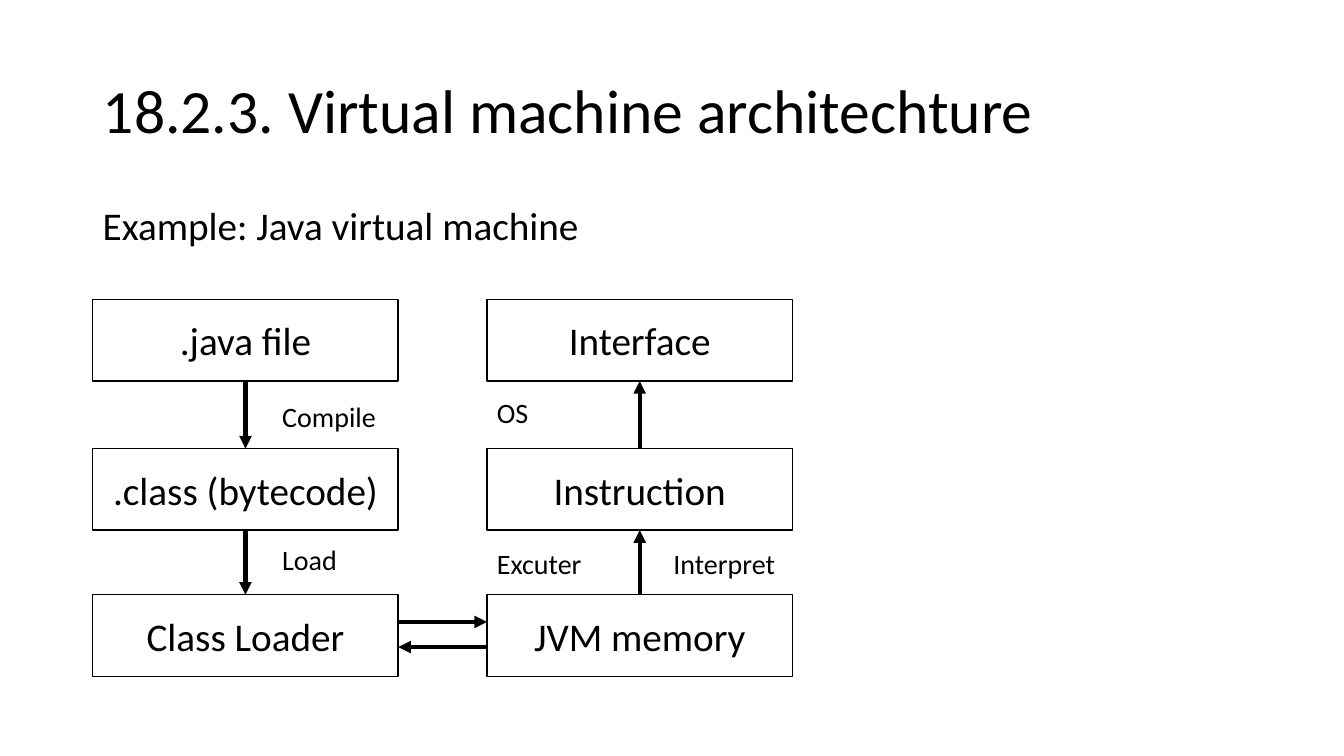
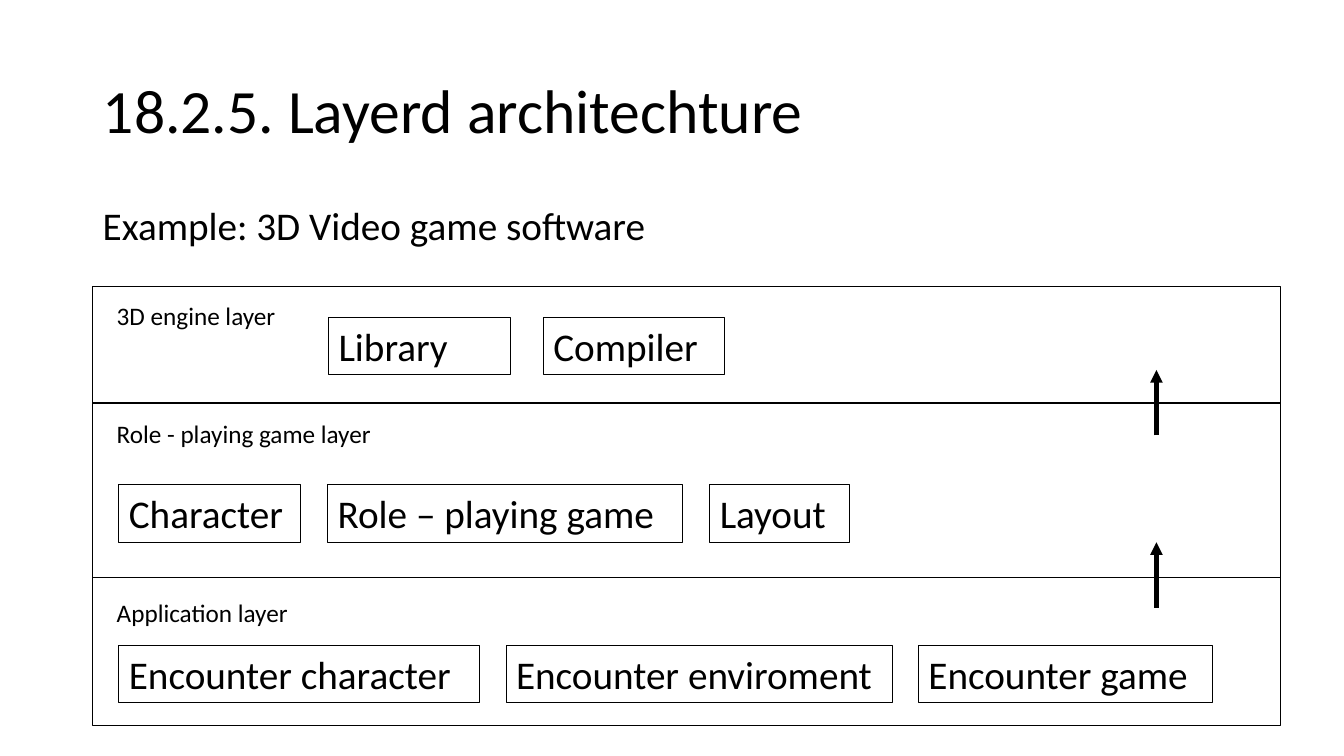
from lxml.etree import SubElement
from pptx import Presentation
from pptx.dml.color import RGBColor
from pptx.enum.shapes import MSO_CONNECTOR as Connector, MSO_SHAPE as Shape
from pptx.enum.text import MSO_ANCHOR as Anchor, MSO_AUTO_SIZE as AutoSize, PP_ALIGN as Align
from pptx.oxml.ns import qn
from pptx.util import Inches, Pt

BLACK = RGBColor(0x00, 0x00, 0x00)
FONT = "Calibri"
TOP, LEFT, BOTTOM, RIGHT = range(4)
MARGIN = 0.92


class Deck:
    def __init__(self):
        self.presentation = Presentation()
        self.presentation.slide_width = Inches(13.33)
        self.presentation.slide_height = Inches(7.5)
        self.slide = None

    def fill_text(self, shape, text, size, align=Align.LEFT, anchor=Anchor.TOP,
                  auto_size=AutoSize.NONE, line_spacing=1.0):
        text_frame = shape.text_frame
        text_frame.text = text
        text_frame.word_wrap = True
        text_frame.auto_size = auto_size
        text_frame.vertical_anchor = anchor
        paragraph = text_frame.paragraphs[0]
        paragraph.alignment = align
        paragraph.line_spacing = line_spacing
        font = paragraph.runs[0].font
        font.name, font.size = FONT, Pt(size)
        font.color.rgb = BLACK

    def start(self, title, subtitle):
        self.slide = self.presentation.slides.add_slide(self.presentation.slide_layouts[5])
        shape = self.slide.shapes.title
        shape.left, shape.top = Inches(MARGIN), Inches(0.4)
        shape.width, shape.height = Inches(11.5), Inches(1.45)
        self.fill_text(shape, title, 44, anchor=Anchor.MIDDLE, line_spacing=0.9)
        self.label(subtitle, MARGIN, 2, 11.5, 0.53, 28, AutoSize.NONE, 0.9)

    def label(self, text, left, top, width, height, size,
              auto_size=AutoSize.SHAPE_TO_FIT_TEXT, line_spacing=1.0):
        shape = self.slide.shapes.add_textbox(
            Inches(left), Inches(top), Inches(width), Inches(height))
        self.fill_text(shape, text, size, auto_size=auto_size, line_spacing=line_spacing)

    def frame(self, left, top, width, height, weight=1):
        shape = self.slide.shapes.add_shape(
            Shape.RECTANGLE, Inches(left), Inches(top), Inches(width), Inches(height))
        shape.shadow.inherit = False
        shape.fill.background()
        shape.line.color.rgb = BLACK
        shape.line.width = Pt(weight)
        return shape

    def node(self, text, left, top):
        shape = self.frame(left, top, 3.03, 0.81)
        self.fill_text(shape, text, 28, Align.CENTER, Anchor.MIDDLE)
        return shape

    def tag(self, text, left, top, width):
        shape = self.frame(left, top, width, 0.57, 0.75)
        self.fill_text(shape, text, 28, auto_size=AutoSize.SHAPE_TO_FIT_TEXT)

    def arrow(self, start=(0, 0), end=(0, 0)):
        points = [Inches(value) for value in (*start, *end)]
        connector = self.slide.shapes.add_connector(Connector.STRAIGHT, *points)
        connector.line.color.rgb = BLACK
        connector.line.width = Pt(3)
        properties = connector._element.spPr
        SubElement(properties.find(qn("a:ln")), qn("a:tailEnd"), type="triangle")
        SubElement(properties, qn("a:effectLst"))
        return connector

    def join(self, source, source_side, target, target_side):
        connector = self.arrow()
        connector.begin_connect(source, source_side)
        connector.end_connect(target, target_side)


def virtual_machine(deck):
    deck.start("18.2.3. Virtual machine architechture", "Example: Java virtual machine")
    rows = (2.97, 4.45, 5.9)
    left_column, right_column = MARGIN, 4.83
    source, bytecode, loader = [
        deck.node(text, left_column, top)
        for text, top in zip((".java file", ".class (bytecode)", "Class Loader"), rows)]
    interface, instruction, memory = [
        deck.node(text, right_column, top)
        for text, top in zip(("Interface", "Instruction", "JVM memory"), rows)]

    for upper, lower in ((source, bytecode), (bytecode, loader)):
        deck.join(upper, BOTTOM, lower, TOP)
    for lower, upper in ((memory, instruction), (instruction, interface)):
        deck.join(lower, TOP, upper, BOTTOM)
    deck.arrow((3.95, 6.17), (right_column, 6.17))
    deck.arrow((right_column, 6.42), (3.95, 6.42))

    for text, left, top in (
            ("Compile", 2.7, 3.91), ("Load", 2.7, 5.33), ("OS", right_column, 3.87),
            ("Excuter", right_column, 5.37), ("Interpret", 6.58, 5.37)):
        deck.label(text, left, top, 1.49, 0.44, 20)


def layered(deck):
    deck.start("18.2.5. Layerd architechture", "Example: 3D Video game software")
    layers = (
        ("3D engine layer", 2.84, 1.16, 2.93, 3.15, 3.26, 0.33,
         (("Library", 1.8), ("Compiler", 1.8))),
        ("Role - playing game layer", 4, 1.73, 4.1, 4.81, 1.18, 0.27,
         (("Character", 1.8), ("Role – playing game", 3.52), ("Layout", 1.39))),
        ("Application layer", 5.73, 1.47, 5.88, 6.4, 1.18, 0.26,
         (("Encounter character", 3.58), ("Encounter enviroment", 3.83),
          ("Encounter game", 2.92))),
    )
    for name, top, height, label_top, tag_top, left, gap, tags in layers:
        deck.frame(MARGIN, top, 11.78, height)
        deck.label(name, 1.06, label_top, 4, 0.4, 18)
        for text, width in tags:
            deck.tag(text, left, tag_top, width)
            left += width + gap
    for bottom in (6.03, 4.32):
        deck.arrow((11.47, bottom), (11.47, bottom - 0.65))


def main():
    deck = Deck()
    virtual_machine(deck)
    layered(deck)
    deck.presentation.save("out.pptx")


if __name__ == "__main__":
    main()
